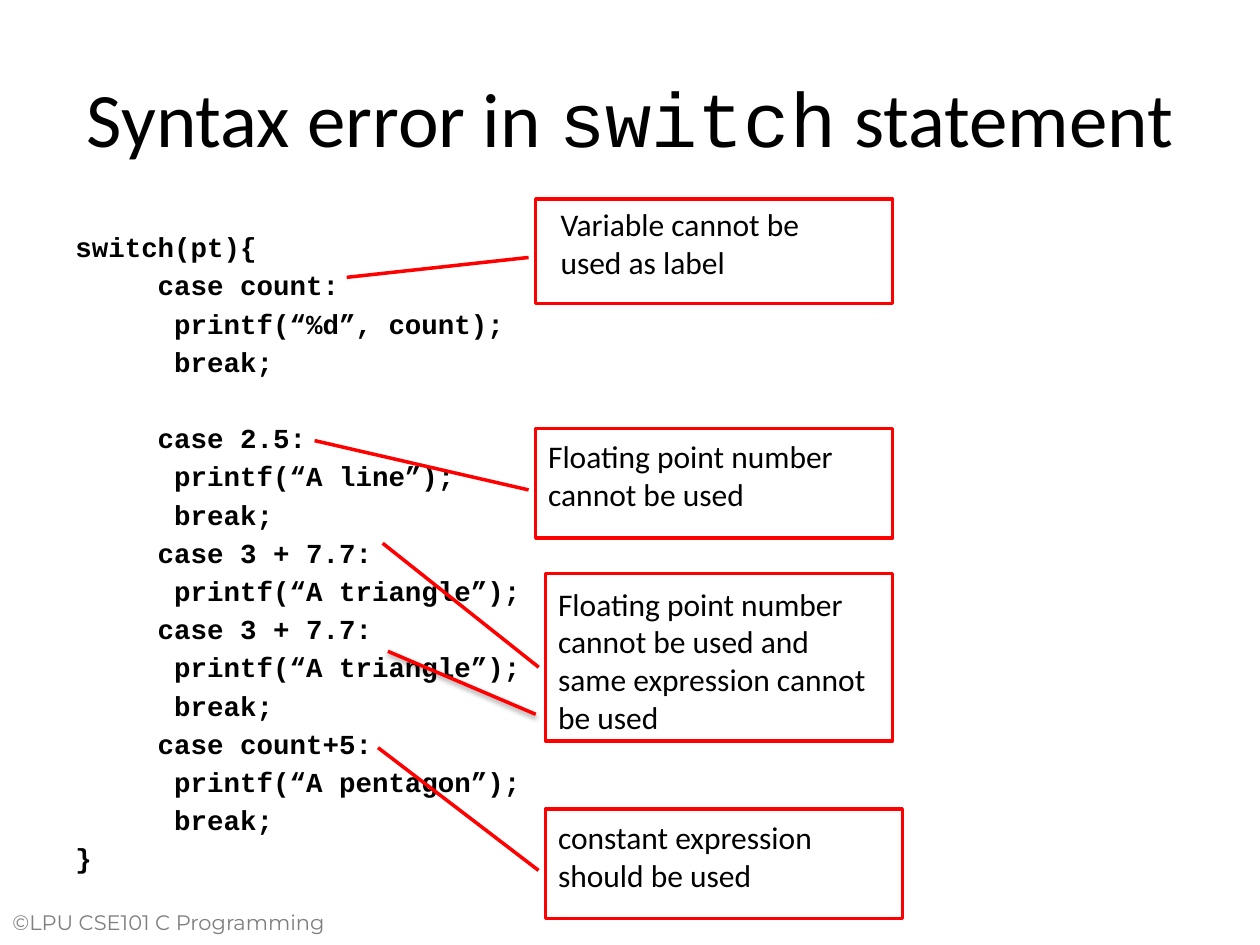
"""Build a slide on syntax errors in a C switch statement."""
from lxml.etree import SubElement
from pptx import Presentation
from pptx.dml.color import RGBColor
from pptx.enum.shapes import MSO_CONNECTOR as Connector, MSO_SHAPE as Shape
from pptx.enum.text import MSO_ANCHOR as Anchor, PP_ALIGN as Align
from pptx.oxml.ns import qn
from pptx.util import Cm, Pt

COLORS = {"text": "000000", "callout": "FF0000", "footer": "7F7F7F", "shadow": "000000"}

CODE = """switch(pt){
     case count:
      printf(“%d”, count);
      break;
     
     case 2.5:
      printf(“A line”);
      break;
     case 3 + 7.7:
      printf(“A triangle”);
     case 3 + 7.7:
      printf(“A triangle”);
      break;
     case count+5:
      printf(“A pentagon”);
      break;
}"""

CALLOUTS = [
    ("Variable cannot be used as label",
     (10.8, 4.01, 7.19, 2.11), (11.05, 4.01, 5.94, 1.8), (0.75, -0.53)),
    ("Floating point number cannot be used",
     (10.8, 8.64, 7.19, 2.21), (10.8, 8.69, 7.19, 1.5), (0.11, -0.62)),
    ("Floating point number cannot be used and same expression cannot be used",
     (11, 11.56, 6.99, 3.38), (11, 11.66, 6.99, 2.9), (-0.18, -0.47)),
    ("constant expression should be used",
     (11, 16.31, 7.19, 2.21), (11, 16.36, 7.19, 1.8), (-0.56, -0.47)),
]


def color(name):
    return RGBColor.from_string(COLORS[name])


def lengths(values):
    return [Cm(value) for value in values]


def add_text(shapes, area, text, *, size=18, font="Calibri", fill="text", bold=False,
             align=Align.LEFT, anchor=Anchor.TOP, spacing=None, before=0, fonts=None):
    box = shapes.add_textbox(*lengths(area))
    frame = box.text_frame
    frame.word_wrap = True
    frame.vertical_anchor = anchor
    lines = [[line] for line in text.split("\n")] if isinstance(text, str) else [text]
    for index, spans in enumerate(lines):
        para = frame.paragraphs[0] if index == 0 else frame.add_paragraph()
        para.alignment = align
        para.line_spacing = spacing
        if index and before:
            para.space_before = Pt(before)
        for content in spans:
            span = para.add_run()
            span.text = content
            span.font.name = (fonts or {}).get(content, font)
            span.font.size = Pt(size)
            span.font.bold = bold
            span.font.color.rgb = color(fill)


def style_line(line):
    line.color.rgb = color("callout")
    line.width = Pt(2)


def add_callout(page, text, frame_area, text_area, target):
    group = page.shapes.add_group_shape()
    callout = group.shapes.add_shape(Shape.LINE_CALLOUT_1, *lengths(frame_area))
    for index, value in enumerate((0.56, -0.02, *target)):
        callout.adjustments[index] = value
    callout.shadow.inherit = False
    callout.fill.background()
    style_line(callout.line)
    add_text(group.shapes, text_area, text)


def add_shadowed_line(page, ends):
    pointer = page.shapes.add_connector(Connector.STRAIGHT, *lengths(ends))
    style_line(pointer.line)
    effects = SubElement(pointer._element.spPr, qn("a:effectLst"))
    shadow = SubElement(effects, qn("a:outerShdw"), blurRad="40000", dist="20000",
                        dir="5400000", rotWithShape="0")
    tint = SubElement(shadow, qn("a:srgbClr"), val=COLORS["shadow"])
    SubElement(tint, qn("a:alpha"), val="38000")


def main():
    deck = Presentation()
    deck.slide_width, deck.slide_height = Cm(25.4), Cm(19.05)
    page = deck.slides.add_slide(deck.slide_layouts[6])
    add_text(page.shapes, (0, 18.21, 7.62, 1.07), "©LPU CSE101 C Programming",
             size=12, font="Montserrat", fill="footer")
    add_text(page.shapes, (1.27, 0.76, 22.86, 3.18),
             ["Syntax error in ", "switch", " statement"], size=44,
             align=Align.CENTER, anchor=Anchor.MIDDLE, fonts={"switch": "Courier New"})
    add_text(page.shapes, (1.27, 4.45, 22.86, 13.77), CODE, size=15.7,
             font="Courier New", bold=True, spacing=1.1, before=1.1)
    for callout in CALLOUTS:
        add_callout(page, *callout)
    add_shadowed_line(page, (7.82, 13.13, 10.8, 14.4))
    deck.save("out.pptx")


if __name__ == "__main__":
    main()
